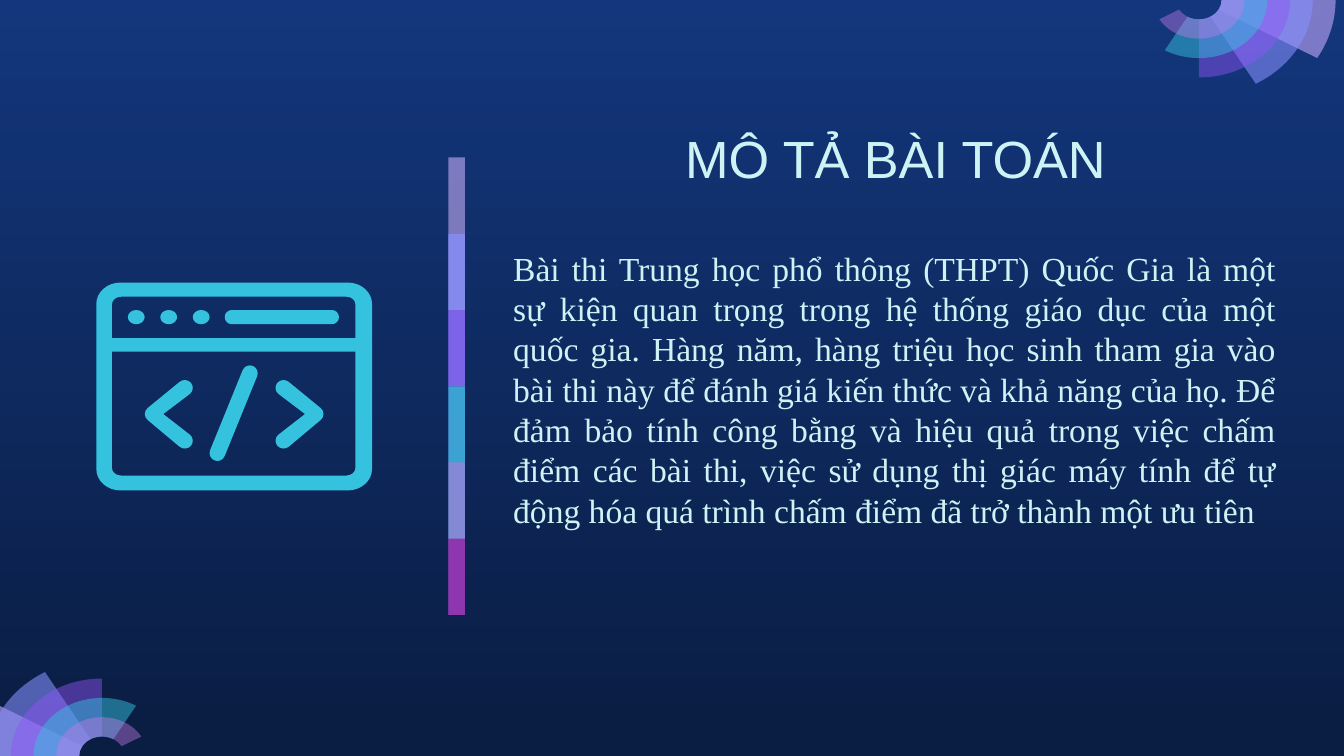
from dataclasses import dataclass
from math import atan2, ceil, cos, degrees, radians, sin, tan

from lxml.etree import SubElement
from pptx import Presentation
from pptx.dml.color import RGBColor as RGB
from pptx.enum.shapes import MSO_SHAPE as Kind
from pptx.enum.text import MSO_ANCHOR as Anchor, PP_ALIGN as Align
from pptx.oxml.ns import qn
from pptx.util import Pt

NAVY = RGB(0x13, 0x36, 0x7C)
NIGHT = RGB(0x0A, 0x1D, 0x42)
ICE = RGB(0xCE, 0xF3, 0xF5)
CYAN = RGB(0x35, 0xC2, 0xDF)
LILAC = RGB(0xC8, 0xAC, 0xFD)
MAUVE = RGB(0xC8, 0xAE, 0xF8)
BLUE = RGB(0x87, 0x8F, 0xFF)
VIOLET = RGB(0x91, 0x54, 0xF8)
ORCHID = RGB(0xCA, 0x7B, 0xEB)
PURPLE = RGB(0x97, 0x2C, 0xB4)

Point = tuple[float, float]
Path = list[list[Point]]  # a step holds one point (line) or three (curve)


@dataclass
class Tint:
    color: RGB
    alpha: int = 100


@dataclass
class Label:
    text: str
    box: tuple[float, float, float, float]
    font: str
    size: float
    align: Align
    anchor: Anchor


FAN = [Tint(LILAC, 58), Tint(BLUE, 58), Tint(VIOLET, 46), Tint(CYAN, 49), Tint(ORCHID, 42)]
BAR = [Tint(MAUVE, 59), Tint(BLUE, 74), Tint(VIOLET, 53),
       Tint(CYAN, 76), Tint(ORCHID, 56), Tint(PURPLE, 74)]
LABELS = [
    Label("MÔ TẢ BÀI TOÁN", (360, 32.4, 247, 76.3), "Arial", 28, Align.LEFT, Anchor.BOTTOM),
    Label("Bài thi Trung học phổ thông (THPT) Quốc Gia là một sự kiện quan trọng "
          "trong hệ thống giáo dục của một quốc gia. Hàng năm, hàng triệu học sinh "
          "tham gia vào bài thi này để đánh giá kiến thức và khả năng của họ. Để đảm "
          "bảo tính công bằng và hiệu quả trong việc chấm điểm các bài thi, việc sử "
          "dụng thị giác máy tính để tự động hóa quá trình chấm điểm đã trở thành "
          "một ưu tiên",
          (267.84, 125.5, 423, 194.4), "Times New Roman", 18, Align.JUSTIFY, Anchor.TOP),
]


def paint(shape, tint: Tint) -> None:
    shape.shadow.inherit = False
    shape.line.fill.background()
    shape.fill.solid()
    shape.fill.fore_color.rgb = tint.color
    if tint.alpha < 100:
        clr = shape.fill._xPr.find(".//" + qn("a:srgbClr"))
        SubElement(clr, qn("a:alpha")).set("val", str(tint.alpha * 1000))


def bend(shape, paths: list[Path]) -> None:
    """Merge the three lines of each curve step into one Bézier."""
    track = shape._element.find(".//" + qn("a:path"))
    nodes = iter(list(track))
    for path in paths:
        for step in path:
            node = next(nodes)
            if len(step) == 3:
                node.tag = qn("a:cubicBezTo")
                for extra in (next(nodes), next(nodes)):
                    node.append(extra[0])
                    track.remove(extra)
        next(nodes)  # the close mark


def draw(group, paths: list[Path], tint: Tint) -> None:
    """Draw closed outlines as one freeform."""
    pens = [[(Pt(x), Pt(y)) for step in path for x, y in step] for path in paths]
    form = group.shapes.build_freeform(*pens[0][0], scale=1.0)
    form.add_line_segments(pens[0][1:], close=True)
    for pen in pens[1:]:
        form.move_to(*pen[0])
        form.add_line_segments(pen[1:], close=True)
    shape = form.convert_to_shape()
    bend(shape, paths)
    paint(shape, tint)


def arc(mid: Point, rx: float, ry: float, start: float, end: float) -> Path:
    """Elliptic arc in Bézier steps; angles run clockwise from the right."""
    count = ceil(abs(end - start) / 100)
    part = radians(end - start) / count
    pull = 4 / 3 * tan(part / 4)

    def spot(t: float, k: float = 0) -> Point:
        return (mid[0] + rx * (cos(t) - k * sin(t)), mid[1] + ry * (sin(t) + k * cos(t)))

    turns = [radians(start) + i * part for i in range(count + 1)]
    curves = [[spot(a, pull), spot(b, -pull), spot(b)] for a, b in zip(turns, turns[1:])]
    return [[spot(turns[0])]] + curves


def panel(x: float, y: float, right: float, low: float,
          rx: float, ry: float, top: bool = True, base: bool = True) -> Path:
    """Rectangle with its top and/or base corners rounded."""
    path: Path = []
    if top:
        path += arc((x + rx, y + ry), rx, ry, 180, 270)
        path += arc((right - rx, y + ry), rx, ry, 270, 360)
    else:
        path += [[(x, y)], [(right, y)]]
    if base:
        path += arc((right - rx, low - ry), rx, ry, 0, 90)
        path += arc((x + rx, low - ry), rx, ry, 90, 180)
    else:
        path += [[(right, low)], [(x, low)]]
    return path


def pill(a: Point, b: Point, r: float) -> Path:
    """Thick stroke from a to b with round ends."""
    turn = degrees(atan2(b[1] - a[1], b[0] - a[0]))
    return arc(a, r, r, turn + 90, turn + 270) + arc(b, r, r, turn - 90, turn + 90)


def fan(slide, mid: Point, turn: float) -> None:
    """Rings that shrink by one step while opening 30 degrees further."""
    group = slide.shapes.add_group_shape()
    size, flat = 12.2, 0.85
    for i, tint in enumerate(FAN):
        rx, end = size * (6 - i), turn + 30 * (i + 1)
        outer = arc(mid, rx, rx * flat, turn, end)
        inner = arc(mid, size, size * flat, end, turn)
        draw(group, [outer + inner], tint)


def icon(slide) -> None:
    """Browser window with a code tag."""
    group = slide.shapes.add_group_shape()
    tint = Tint(CYAN)
    draw(group, [
        panel(60, 159, 190.4, 181.2, 4.8, 4, base=False),
        panel(60, 188.4, 190.4, 254.8, 4.8, 4, top=False),
        panel(51.6, 151.4, 199.3, 262.8, 13, 11.5),
    ], tint)
    # Title bar: three dots and an address field
    for x in (73, 90.4, 107.8):
        draw(group, [arc((x, 169.9), 4.5, 3.8, 0, 360)], tint)
    draw(group, [pill((124.2, 169.9), (177.8, 169.9), 3.8)], tint)
    # Angle brackets, the left one mirrored, and the slash
    right = (arc((151.9, 207.8), 4.3, 4.2, 130, 310)
             + arc((169, 221.8), 4.3, 4.2, 310, 410)
             + arc((151.9, 236.1), 4.3, 4.2, 50, 230)
             + [[(163.4, 221.8)]])
    left = [[(250.9 - x, y) for x, y in step] for step in right]
    for path in (right, left, pill((133.9, 200), (116.5, 242.8), 4.2)):
        draw(group, [path], tint)


def bar(slide) -> None:
    """Column of overlapping bands, each two steps tall but the last."""
    group = slide.shapes.add_group_shape()
    size = 40.85
    for i, tint in enumerate(BAR):
        tall = size if tint is BAR[-1] else 2 * size
        band = group.shapes.add_shape(Kind.RECTANGLE, Pt(240.2), Pt(84.4 + i * size),
                                      Pt(8.9), Pt(tall))
        paint(band, tint)


def write(slide, label: Label) -> None:
    frame = slide.shapes.add_textbox(*map(Pt, label.box)).text_frame
    frame.word_wrap = True
    frame.vertical_anchor = label.anchor
    frame.margin_left = frame.margin_right = Pt(7.2)
    frame.margin_top = frame.margin_bottom = Pt(7.2)
    frame.text = label.text
    para = frame.paragraphs[0]
    para.alignment = label.align
    font = para.runs[0].font
    font.name, font.size = label.font, Pt(label.size)
    font.color.rgb = ICE


def main() -> None:
    deck = Presentation()
    deck.slide_width, deck.slide_height = Pt(720), Pt(405)
    slide = deck.slides.add_slide(deck.slide_layouts[6])
    # Background running from top to bottom
    fill = slide.background.fill
    fill.gradient()
    fill.gradient_angle = 270
    for stop, color, place in zip(fill.gradient_stops, (NAVY, NIGHT), (0, 1)):
        stop.color.rgb = color
        stop.position = place
    # Text
    for label in LABELS:
        write(slide, label)
    # Icon, corner fans and divider
    icon(slide)
    fan(slide, (54.6, 405), 180)
    fan(slide, (642.3, 0), 0)
    bar(slide)
    deck.save("out.pptx")


if __name__ == "__main__":
    main()
